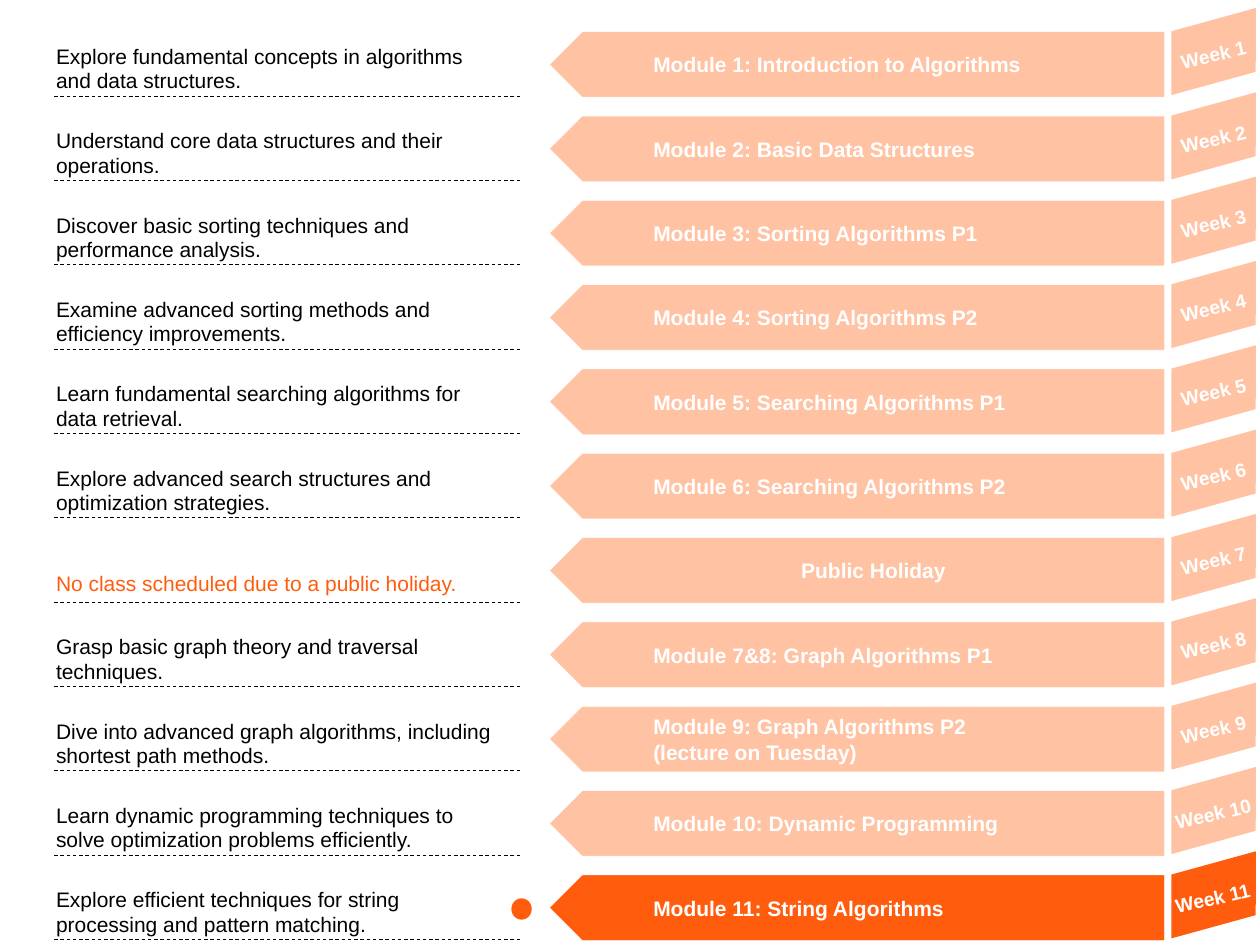
import dataclasses

import pptx
import pptx.dml.color
import pptx.enum.dml
import pptx.enum.shapes
import pptx.enum.text
import pptx.oxml
import pptx.util

Cm = pptx.util.Cm
Pt = pptx.util.Pt
Shape = pptx.enum.shapes.MSO_SHAPE
Align = pptx.enum.text.PP_ALIGN
Anchor = pptx.enum.text.MSO_ANCHOR


@dataclasses.dataclass(frozen=True)
class Theme:
    font: str = "Arial"
    pale: str = "FFC2A3"
    accent: str = "FF5D0D"
    light: str = "FFFFFF"
    dark: str = "000000"
    body_size: int = 12
    week_size: int = 11


THEME = Theme()
FIRST_TOP = 0.64
ROW_PITCH = 1.7
ROW_HEIGHT = 1.32
HOLIDAY = "Public Holiday"

SCHEDULE = [
    ("Module 1: Introduction to Algorithms",
     "Explore fundamental concepts in algorithms and data structures."),
    ("Module 2: Basic Data Structures",
     "Understand core data structures and their operations."),
    ("Module 3: Sorting Algorithms P1",
     "Discover basic sorting techniques and performance analysis."),
    ("Module 4: Sorting Algorithms P2",
     "Examine advanced sorting methods and efficiency improvements."),
    ("Module 5: Searching Algorithms P1",
     "Learn fundamental searching algorithms for data retrieval."),
    ("Module 6: Searching Algorithms P2",
     "Explore advanced search structures and optimization strategies."),
    (HOLIDAY, "No class scheduled due to a public holiday."),
    ("Module 7&8: Graph Algorithms P1",
     "Grasp basic graph theory and traversal techniques."),
    ("Module 9: Graph Algorithms P2\n(lecture on Tuesday)",
     "Dive into advanced graph algorithms, including shortest path methods."),
    ("Module 10: Dynamic Programming",
     "Learn dynamic programming techniques to solve optimization problems efficiently."),
    ("Module 11: String Algorithms",
     "Explore efficient techniques for string processing and pattern matching."),
]


def rgb(value):
    return pptx.dml.color.RGBColor.from_string(value)


def write_text(frame, text, *, color, size=THEME.body_size, bold=False,
               align=Align.LEFT, spacing=None, anchor=Anchor.TOP, wrap=True):
    frame.word_wrap = wrap
    frame.vertical_anchor = anchor
    for index, line in enumerate(text.split("\n")):
        paragraph = frame.paragraphs[0] if index == 0 else frame.add_paragraph()
        paragraph.alignment = align
        if spacing:
            paragraph.line_spacing = spacing
        run = paragraph.add_run()
        run.text = line
        run.font.name = THEME.font
        run.font.size = Pt(size)
        run.font.bold = bold
        run.font.color.rgb = rgb(color)


def add_block(slide, kind, left, top, width, height, fill, *,
              adjustments=(), outline=None, rotation=0):
    block = slide.shapes.add_shape(kind, Cm(left), Cm(top), Cm(width), Cm(height))
    block.shadow.inherit = False
    block.rotation = rotation
    for index, value in enumerate(adjustments):
        block.adjustments[index] = value
    block.fill.solid()
    block.fill.fore_color.rgb = rgb(fill)
    if outline:
        block.line.color.rgb = rgb(outline)
        block.line.width = Pt(0.25)
    else:
        block.line.fill.background()
    return block


def add_module(slide, title, top, fill):
    arrow = add_block(slide, Shape.LEFT_ARROW, 11.08, top, 12.4, ROW_HEIGHT, fill,
                      adjustments=(1, 0.5), outline=THEME.light)
    holiday = title == HOLIDAY
    if not holiday:
        arrow.text_frame.margin_left = Cm(1.43)
    write_text(arrow.text_frame, title, color=THEME.light, bold=True,
               align=Align.CENTER if holiday else Align.LEFT, anchor=Anchor.MIDDLE)


def add_week(slide, number, top, fill):
    add_block(slide, Shape.PARALLELOGRAM, 23.41, top - 0.22, 2.11, 1.24, fill,
              adjustments=(0.277,), rotation=344.6)
    width = 1.85 if number < 10 else 2.08
    label = slide.shapes.add_textbox(Cm(24.48 - width / 2), Cm(top + 0.22),
                                     Cm(width), Cm(0.56))
    label.rotation = 346.8
    frame = label.text_frame
    frame.margin_top = 0
    frame.margin_bottom = Cm(0.1)
    frame.auto_size = pptx.enum.text.MSO_AUTO_SIZE.SHAPE_TO_FIT_TEXT
    write_text(frame, f"Week {number}", color=THEME.light, size=THEME.week_size,
               bold=True, wrap=False)


def add_description(slide, text, top, holiday):
    summary = slide.shapes.add_textbox(Cm(0.88), Cm(top + (0.57 if holiday else 0.14)),
                                       Cm(9.4), Cm(0.64 if holiday else 1.1))
    write_text(summary.text_frame, text, spacing=0.97,
               color=THEME.accent if holiday else THEME.dark)


def add_divider(slide, height):
    divider = slide.shapes.add_connector(pptx.enum.shapes.MSO_CONNECTOR.STRAIGHT,
                                         Cm(1.09), Cm(height), Cm(10.49), Cm(height))
    divider.line.color.rgb = rgb(THEME.dark)
    divider.line.width = Pt(0.5)
    divider.line.dash_style = pptx.enum.dml.MSO_LINE.DASH
    properties = divider.line._get_or_add_ln().getparent()
    properties.append(pptx.oxml.parse_xml(
        '<a:effectLst xmlns:a="http://schemas.openxmlformats.org/drawingml/2006/main"/>'))


def main():
    deck = pptx.Presentation()
    deck.slide_width, deck.slide_height = Cm(25.4), Cm(19.05)
    slide = deck.slides.add_slide(deck.slide_layouts[6])

    for week, (title, description) in enumerate(SCHEDULE, start=1):
        top = FIRST_TOP + (week - 1) * ROW_PITCH
        current = week == len(SCHEDULE)
        fill = THEME.accent if current else THEME.pale
        add_module(slide, title, top, fill)
        add_week(slide, week, top, fill)
        add_divider(slide, top + 1.3)
        add_description(slide, description, top, title == HOLIDAY)
        if current:
            add_block(slide, Shape.OVAL, 10.31, top + 0.47, 0.41, 0.43, fill)

    deck.save("out.pptx")


if __name__ == "__main__":
    main()
